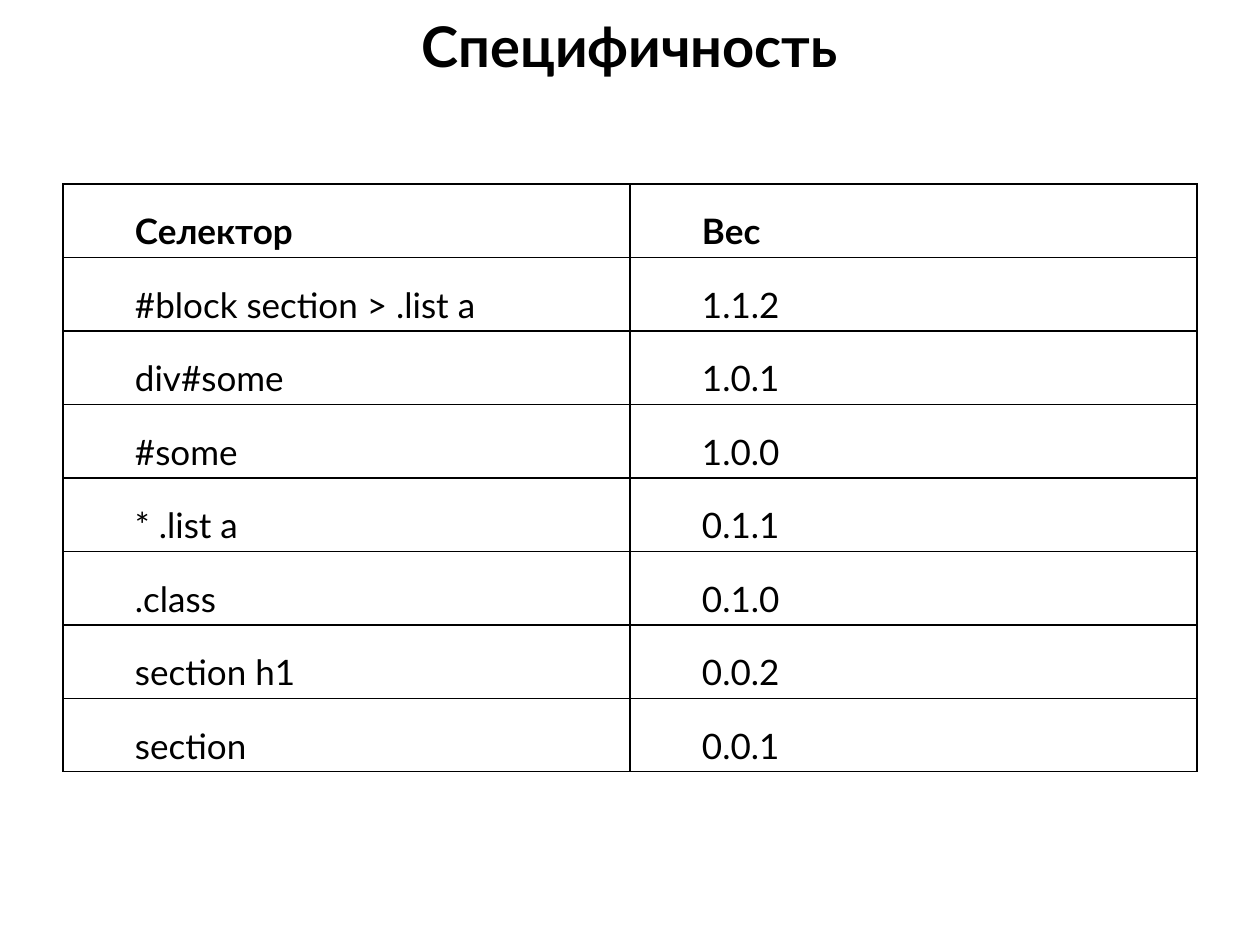
from dataclasses import dataclass

from lxml import etree
from pptx import Presentation
from pptx import util as u
from pptx.dml.color import RGBColor
from pptx.enum import text
from pptx.oxml import ns

PX_PER_INCH = 126
FONT = "Lato"
COLORS = {"ink": "000000", "paper": "FFFFFF"}
BORDER_SIDES = ("lnL", "lnR", "lnT", "lnB")


@dataclass(frozen=True)
class Box:
    left: int
    top: int
    width: int
    height: int


@dataclass(frozen=True)
class Rule:
    selector: str
    weight: str
    bold: bool = False


TITLE_BOX = Box(5, 5, 1250, 81)
TABLE_BOX = Box(63, 184, 1134, 588)
RULES = (
    Rule("Селектор", "Вес", bold=True),
    Rule("#block section > .list a", "1.1.2"),
    Rule("div#some", "1.0.1"),
    Rule("#some", "1.0.0"),
    Rule("* .list a", "0.1.1"),
    Rule(".class", "0.1.0"),
    Rule("section h1", "0.0.2"),
    Rule("section", "0.0.1"),
)


def px(length: int) -> u.Emu:
    return u.Emu(round(length * u.Inches(1) / PX_PER_INCH))


def place(box: Box) -> tuple:
    return px(box.left), px(box.top), px(box.width), px(box.height)


def add_run(paragraph, words: str, size: int, bold: bool) -> None:
    run = paragraph.add_run()
    run.text = words
    run.font.name = FONT
    run.font.size = u.Pt(size)
    run.font.bold = bold
    run.font.color.rgb = RGBColor.from_string(COLORS["ink"])


def draw_title(slide, words: str) -> None:
    title = slide.shapes.title
    title.left, title.top, title.width, title.height = place(TITLE_BOX)
    frame = title.text_frame
    frame.word_wrap = True
    frame.auto_size = text.MSO_AUTO_SIZE.SHAPE_TO_FIT_TEXT
    frame.vertical_anchor = text.MSO_ANCHOR.MIDDLE
    heading = frame.paragraphs[0]
    heading.alignment = text.PP_ALIGN.CENTER
    add_run(heading, words, 32, True)


def draw_borders(cell) -> None:
    properties = cell._tc.get_or_add_tcPr()
    for side in BORDER_SIDES:
        line = etree.SubElement(properties, ns.qn(f"a:{side}"), w=str(u.Pt(1)))
        fill = etree.SubElement(line, ns.qn("a:solidFill"))
        etree.SubElement(fill, ns.qn("a:srgbClr"), val=COLORS["ink"])


def draw_cell(cell, words: str, bold: bool) -> None:
    draw_borders(cell)
    cell.fill.solid()
    cell.fill.fore_color.rgb = RGBColor.from_string(COLORS["paper"])
    cell.vertical_anchor = text.MSO_ANCHOR.MIDDLE
    cell.margin_left = cell.margin_right = px(10)
    cell.margin_top = cell.margin_bottom = px(5)
    entry = cell.text_frame.paragraphs[0]
    entry.alignment = text.PP_ALIGN.JUSTIFY
    entry.line_spacing = 1.5
    entry._p.get_or_add_pPr().set("indent", str(px(62)))
    add_run(entry, words, 20, bold)


def draw_table(slide, rules: tuple[Rule, ...]) -> None:
    table = slide.shapes.add_table(len(rules), 2, *place(TABLE_BOX)).table
    table.first_row = table.horz_banding = False
    for row, rule in zip(table.rows, rules):
        for cell, words in zip(row.cells, (rule.selector, rule.weight)):
            draw_cell(cell, words, rule.bold)


def main() -> None:
    deck = Presentation()
    deck.slide_width, deck.slide_height = px(1260), px(945)
    slide = deck.slides.add_slide(deck.slide_layouts[5])
    draw_title(slide, "Специфичность")
    draw_table(slide, RULES)
    deck.save("out.pptx")


if __name__ == "__main__":
    main()
